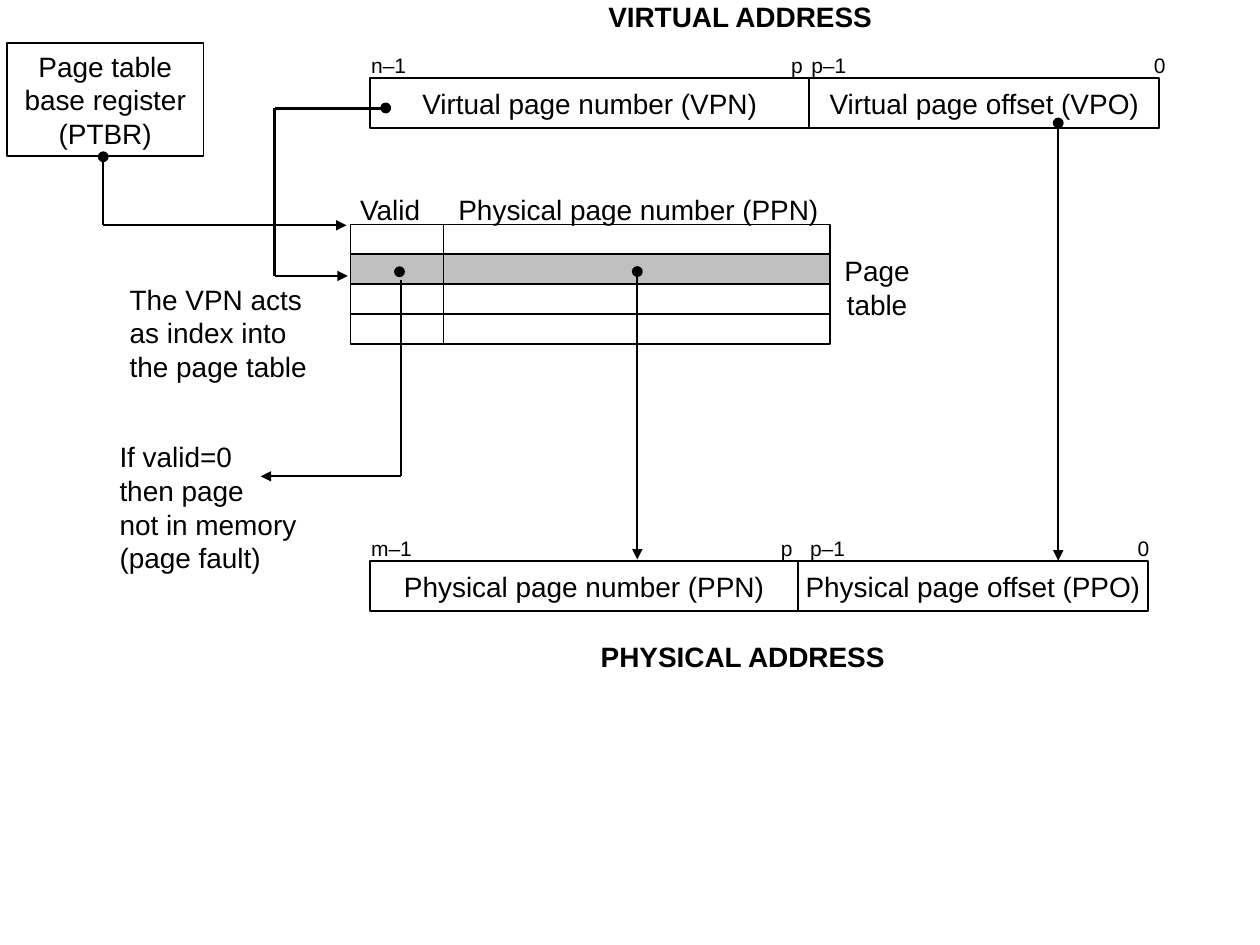
from dataclasses import dataclass
from pptx import Presentation
from pptx.dml.color import RGBColor
from pptx.enum.shapes import MSO_CONNECTOR, MSO_SHAPE
from pptx.enum.text import MSO_ANCHOR, MSO_AUTO_SIZE, PP_ALIGN
from pptx.oxml.ns import qn
from pptx.util import Pt
from lxml.etree import SubElement


@dataclass(frozen=True)
class Theme:
    """Colours, font, sizes and line weights."""
    ink: RGBColor = RGBColor(0, 0, 0)
    paper: RGBColor = RGBColor(255, 255, 255)
    mark: RGBColor = RGBColor(192, 192, 192)
    font: str = "Arial"
    body: float = 16
    small: float = 12
    thin: float = 1
    thick: float = 1.5
    dot: float = 5.2


THEME = Theme()


def write(shape, lines, size=THEME.body, bold=False, align=PP_ALIGN.LEFT,
          anchor=MSO_ANCHOR.TOP, wrap=False):
    """Fill a shape with one paragraph per line."""
    frame = shape.text_frame
    frame.word_wrap = wrap
    frame.vertical_anchor = anchor
    for i, line in enumerate(lines):
        para = frame.add_paragraph() if i else frame.paragraphs[0]
        para.alignment = align
        run = para.add_run()
        run.text = line
        run.font.name = THEME.font
        run.font.size = Pt(size)
        run.font.bold = bold
        run.font.color.rgb = THEME.ink


def label(slide, box, *lines, **style):
    """Add free text in a box."""
    shape = slide.shapes.add_textbox(*map(Pt, box))
    write(shape, lines, **style)
    shape.text_frame.auto_size = MSO_AUTO_SIZE.SHAPE_TO_FIT_TEXT


def block(slide, box, *lines, fill=THEME.paper, kind=MSO_SHAPE.RECTANGLE):
    """Add an outlined shape with centred text."""
    shape = slide.shapes.add_shape(kind, *map(Pt, box))
    shape.shadow.inherit = False
    shape.fill.solid()
    shape.fill.fore_color.rgb = fill
    shape.line.color.rgb = THEME.ink
    shape.line.width = Pt(THEME.thin)
    write(shape, lines, align=PP_ALIGN.CENTER, anchor=MSO_ANCHOR.MIDDLE)


def dot(slide, x, y):
    """Add a round dot centred on a point."""
    d = THEME.dot
    block(slide, (x - d / 2, y - d / 2, d, d), fill=THEME.ink, kind=MSO_SHAPE.OVAL)


def route(slide, *points, weight=THEME.thin):
    """Join points by straight lines, with an arrowhead on the last."""
    for start, end in zip(points, points[1:]):
        wire = slide.shapes.add_connector(MSO_CONNECTOR.STRAIGHT, *map(Pt, start + end))
        wire.line.color.rgb = THEME.ink
        wire.line.width = Pt(weight)
        props = wire.element.spPr
        if end is points[-1]:
            SubElement(props.find(qn("a:ln")), qn("a:tailEnd"), type="triangle")
        SubElement(props, qn("a:effectLst"))


def address(slide, box, split, names, bits, title):
    """Draw an address as two fields with bit numbers and a title."""
    x, y, w, h = box
    block(slide, (x, y, split, h), names[0])
    block(slide, (x + split, y, w - split, h), names[1])
    for text, left, width in bits:
        label(slide, (x + left, y - 18, width, 21.6), text, size=THEME.small)
    text, left, top, width = title
    label(slide, (x + left, y + top, width, 26), text, bold=True)


def register(slide, box):
    """Draw the base register and its pointer to the table."""
    x, y, w, h = box
    block(slide, box, "Page table", "base register", "(PTBR)")
    left, low = x + 55, y + h
    dot(slide, left, low + 0.3)
    route(slide, (left, low + 3.5), (left, low + 39.5), (x + 194, low + 39.5))


def table(slide, box, split, rows=4, chosen=1):
    """Draw the page table with its headings and side label."""
    x, y, w, h = box
    step = h / rows
    for row in range(rows):
        fill = THEME.mark if row == chosen else THEME.paper
        top = y + row * step
        block(slide, (x + split, top, w - split, step), fill=fill)
        block(slide, (x, top, split, step), fill=fill)
    label(slide, (x - 1.5, y - 21.6, 51, 26), "Valid")
    label(slide, (x + 54.7, y - 21.6, 221, 26), "Physical page number (PPN)")
    label(slide, (x + w + 0.7, y + 12.9, 52, 46), "Page", "table",
          align=PP_ALIGN.CENTER, anchor=MSO_ANCHOR.MIDDLE)


def index(slide, box):
    """Draw the path from the page number to the table entry."""
    x, y, w, h = box
    route(slide, (x + 63.4, y), (x, y), (x, y + h), (x + w, y + h), weight=THEME.thick)
    dot(slide, x + 63.4, y - 0.2)
    label(slide, (x - 90, y + h, 126, 65), "The VPN acts as index into the page table", wrap=True)


def fault(slide, box):
    """Draw the path from the valid bit to the fault note."""
    x, y, w, h = box
    dot(slide, x + w - 0.7, y - 4.5)
    route(slide, (x + w, y), (x + w, y + h), (x, y + h))
    label(slide, (x - 87.8, y + h - 24.3, 120, 83.5), "If valid=0", "then page",
          "not in memory", "(page fault)")


def drop(slide, box):
    """Draw a dot with a downward arrow."""
    x, y, _, h = box
    dot(slide, x, y)
    route(slide, (x, y), (x, y + h))


def main():
    """Build and save the slide."""
    deck = Presentation()
    deck.slide_width, deck.slide_height = Pt(720), Pt(540)
    slide = deck.slides.add_slide(deck.slide_layouts[6])
    address(slide, (211.5, 44.6, 451, 28.8), 251,
            ("Virtual page number (VPN)", "Virtual page offset (VPO)"),
            (("n–1", -6.5, 37), ("p", 233.5, 22), ("p–1", 245, 37), ("0", 440.8, 22)),
            ("VIRTUAL ADDRESS", 129, -48.6, 168))
    address(slide, (211.5, 320.4, 444.5, 28.8), 244.5,
            ("Physical page number (PPN)", "Physical page offset (PPO)"),
            (("m–1", -6.5, 42), ("p", 227.7, 22), ("p–1", 244.3, 37), ("0", 431.5, 22)),
            ("PHYSICAL ADDRESS", 124.7, 41.6, 179))
    table(slide, (200.2, 128.2, 274.3, 68.4), 53.2)
    register(slide, (4, 24.5, 112.3, 64.8))
    index(slide, (157, 61.9, 41.7, 95.8))
    fault(slide, (149, 159.8, 80, 112.4))
    drop(slide, (364.2, 155.2, 0, 164.5))
    drop(slide, (604.7, 70.3, 0, 250.1))
    deck.save("out.pptx")


if __name__ == "__main__":
    main()
